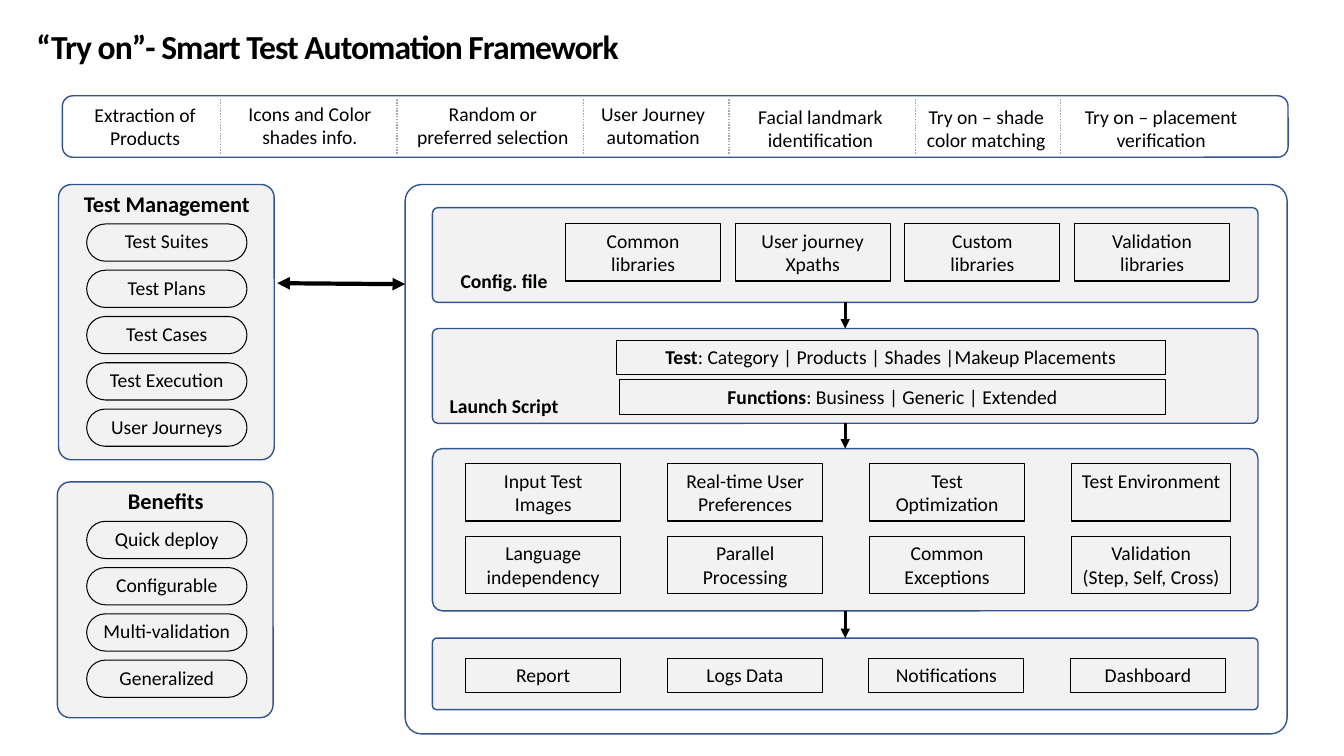
from lxml import etree
from pptx import Presentation
from pptx import util as u
from pptx.dml.color import RGBColor
from pptx.enum import dml, shapes, text
from pptx.oxml import ns

Pt = u.Pt
FONT, BLACK, BLUE, PALE, WHITE, GREY = "Calibri", "000000", "325491", "F2F2F2", "FFFFFF", "A6A6A6"


def colour(value):
    """Turn a hex string into a colour."""
    return RGBColor.from_string(value)


def add_run(paragraph, words, size=14, bold=False):
    """Add one formatted run to a paragraph."""
    run = paragraph.add_run()
    run.text = words
    run.font.name, run.font.size, run.font.bold = FONT, Pt(size), bold
    run.font.color.rgb = colour(BLACK)
    return run


def write(frame, label, size=14, bold=False, lead=""):
    """Fill a frame with centred lines, the first after an optional bold lead."""
    frame.word_wrap = True
    frame.vertical_anchor = text.MSO_ANCHOR.TOP
    for index, line in enumerate(label.split("\n")):
        paragraph = frame.add_paragraph() if index else frame.paragraphs[0]
        paragraph.alignment = text.PP_ALIGN.CENTER
        if lead and not index:
            add_run(paragraph, lead, size, True)
        add_run(paragraph, line, size, bold)


def add_outline(slide, kind, box, line, weight, fill=None):
    """Add an outlined shape, hollow unless a fill is given."""
    outline = slide.shapes.add_shape(kind, *map(Pt, box))
    outline.shadow.inherit = False
    outline.line.color.rgb = colour(line)
    outline.line.width = Pt(weight)
    if fill:
        outline.fill.solid()
        outline.fill.fore_color.rgb = colour(fill)
    else:
        outline.fill.background()
    return outline


def add_panel(slide, box, corner, fill=PALE):
    """Add a rounded blue-edged container."""
    panel = add_outline(slide, shapes.MSO_SHAPE.ROUNDED_RECTANGLE, box, BLUE, 1, fill)
    panel.adjustments[0] = corner
    return panel


def add_box(slide, box, label, lead=""):
    """Add a thin black rectangle with text."""
    write(add_outline(slide, shapes.MSO_SHAPE.RECTANGLE, box, BLACK, 0.75).text_frame, label, lead=lead)


def add_pill(slide, box, label):
    """Add a fully rounded item."""
    pill = add_outline(slide, shapes.MSO_SHAPE.ROUNDED_RECTANGLE, box, BLACK, 0.75)
    pill.adjustments[0] = 0.5
    pill.text_frame.margin_top = pill.text_frame.margin_bottom = 0
    write(pill.text_frame, label)


def add_label(slide, box, label, size=14, bold=False):
    """Add free-standing text."""
    frame = slide.shapes.add_textbox(*map(Pt, box)).text_frame
    write(frame, label, size, bold)
    frame.auto_size = text.MSO_AUTO_SIZE.SHAPE_TO_FIT_TEXT


def add_line(slide, ends, line, weight, heads=()):
    """Add a straight line with the named arrowheads."""
    connector = slide.shapes.add_connector(shapes.MSO_CONNECTOR.STRAIGHT, *map(Pt, ends))
    connector.line.color.rgb = colour(line)
    connector.line.width = Pt(weight)
    for head in heads:
        etree.SubElement(connector.line._get_or_add_ln(), ns.qn("a:" + head), type="triangle")
    etree.SubElement(connector._element.spPr, ns.qn("a:effectLst"))
    return connector


def add_title(slide, words):
    """Fill and place the title placeholder."""
    title = slide.shapes.title
    title.left, title.top, title.width, title.height = map(Pt, (22.3, 14.4, 742.3, 41))
    frame = title.text_frame
    frame.margin_left = frame.margin_right = frame.margin_top = frame.margin_bottom = Pt(3.6)
    frame.word_wrap = True
    frame.auto_size = text.MSO_AUTO_SIZE.NONE
    frame.vertical_anchor = text.MSO_ANCHOR.MIDDLE
    paragraph = frame.paragraphs[0]
    paragraph.alignment = text.PP_ALIGN.LEFT
    paragraph.line_spacing = 0.9
    run = add_run(paragraph, words, 24, True)
    run.font._element.set("spc", "-70")


def add_strip(slide):
    """Add the capability strip with its dotted dividers."""
    add_panel(slide, (44.6, 68.4, 875.5, 43.9), 0.17, WHITE)
    steps = [
        (49.7, 69.8, 108, "Extraction of Products"),
        (169.2, 69.1, 104.4, "Icons and Color shades info."),
        (288.7, 69.1, 126.7, "Random or preferred selection"),
        (412.6, 69.1, 108, "User Journey automation"),
        (532.1, 71.3, 108, "Facial landmark identification"),
        (648, 71.3, 113, "Try on – shade color matching"),
        (763.9, 71.3, 131, "Try on – placement verification"),
    ]
    for left, top, width, step in steps:
        add_label(slide, (left, top, width, 41), step)
    for x in (157.7, 283.7, 416.9, 520.6, 653.8, 757.4):
        divider = add_line(slide, (x, 71, x, 110.2), GREY, 1)
        divider.line.dash_style = dml.MSO_LINE.ROUND_DOT


def add_sidebar(slide, left, top, height, heading, items):
    """Add a headed panel with a column of pills."""
    add_panel(slide, (left, top, 154.1, height), 0.06)
    add_label(slide, (left - 4.3, top + 0.4, 163.4, 26.6), heading, 16, True)
    for index, item in enumerate(items):
        add_pill(slide, (61.9, top + 28.2 + 33.05 * index, 114.5, 26.6), item)


def add_row(slide, left, top, step, height, labels, last_width=110.9):
    """Add an evenly stepped row of boxes."""
    for index, label in enumerate(labels):
        width = last_width if index == len(labels) - 1 else 110.9
        add_box(slide, (left + step * index, top, width, height), label)


def add_framework(slide):
    """Add the four stages and the arrows that join them."""
    add_panel(slide, (289.4, 131.8, 630, 392.4), 0.03, WHITE)
    stages = [add_panel(slide, (308.9, top, 589.7, height), 0.06)
              for top, height in ((148.3, 67.7), (234.7, 67.7), (320.4, 115.9), (455.8, 51.1))]
    for upper, lower in zip(stages, stages[1:]):
        flow = add_line(slide, (604, 216, 604, 234), BLACK, 2.25, ["tailEnd"])
        flow.begin_connect(upper, 2)
        flow.end_connect(lower, 0)

    add_label(slide, (308.2, 188.6, 103.7, 24.5), "Config. file", bold=True)
    add_row(slide, 403.9, 159.8, 121.2, 41,
            ["Common libraries", "User journey Xpaths", "Custom\nlibraries", "Validation\nlibraries"])

    add_label(slide, (304.6, 277.9, 110.9, 24.5), "Launch Script", bold=True)
    add_box(slide, (440.6, 242.9, 391.7, 24.5), ": Category | Products | Shades |Makeup Placements", "Test")
    add_box(slide, (442.8, 271.4, 389.5, 24.5), ": Business | Generic | Extended", "Functions")

    add_row(slide, 332.6, 331.2, 144.25, 41,
            ["Input Test\nImages", "Real-time User Preferences", "Test Optimization", "Test Environment"], 113.8)
    add_row(slide, 332.6, 383, 144.25, 41,
            ["Language independency", "Parallel Processing", "Common Exceptions",
             "Validation\n(Step, Self, Cross)"], 113.8)
    add_row(slide, 332.6, 470.3, 144, 24.5, ["Report", "Logs Data", "Notifications", "Dashboard"])


def main():
    """Build and save the slide."""
    deck = Presentation()
    deck.slide_width, deck.slide_height = Pt(960), Pt(540)
    slide = deck.slides.add_slide(deck.slide_layouts[5])
    add_title(slide, "“Try on”- Smart Test Automation Framework")
    add_strip(slide)
    add_sidebar(slide, 41.8, 131.8, 196.6, "Test Management",
                ["Test Suites", "Test Plans", "Test Cases", "Test Execution", "User Journeys"])
    add_sidebar(slide, 41, 344.2, 168.5, "Benefits",
                ["Quick deploy", "Configurable", "Multi-validation", "Generalized"])
    add_framework(slide)
    add_line(slide, (198, 202.3, 289.4, 203), BLACK, 3, ["headEnd", "tailEnd"])
    deck.save("out.pptx")


if __name__ == "__main__":
    main()
